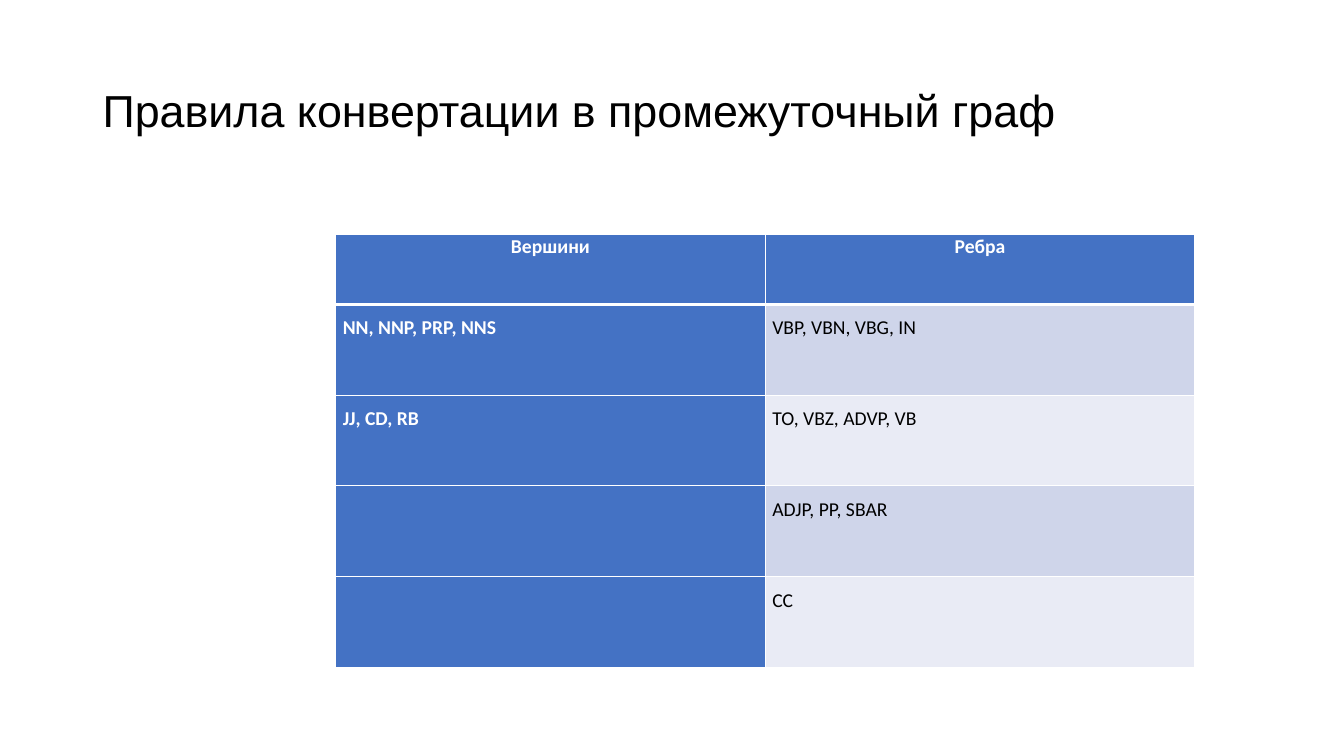
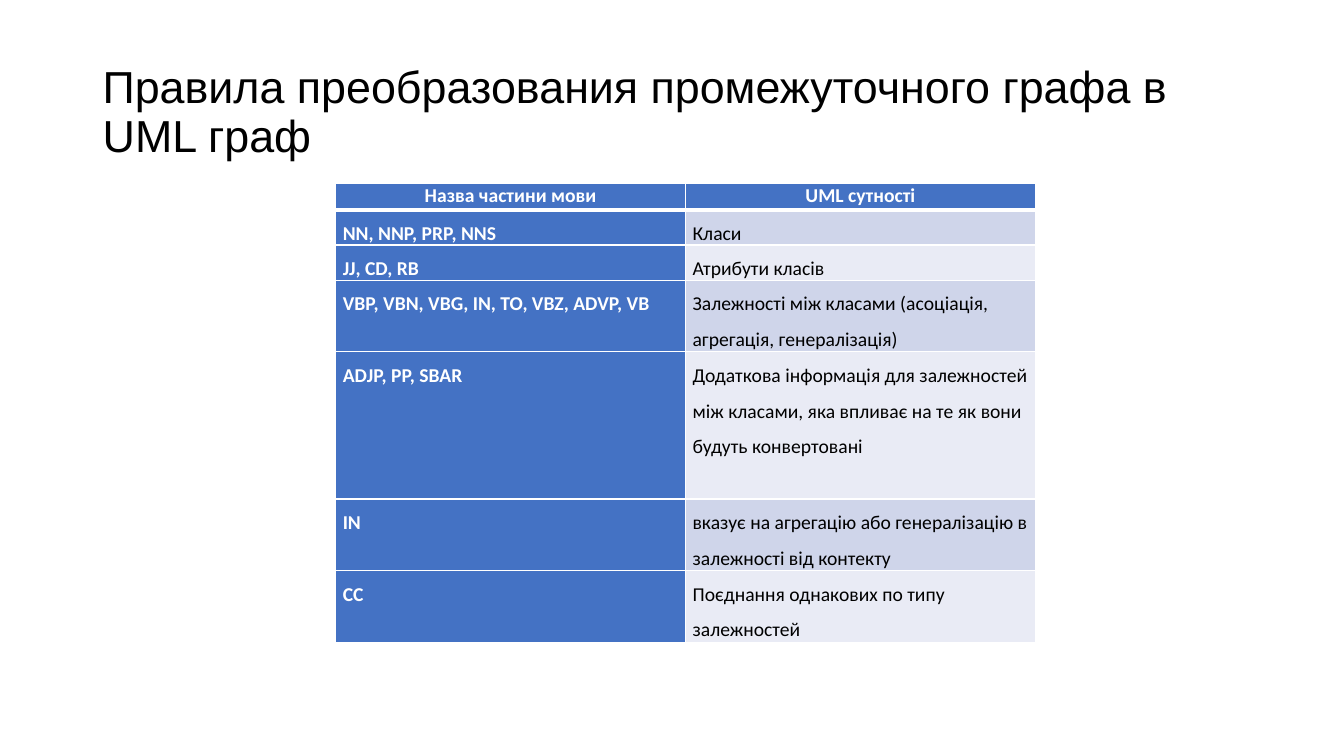
from lxml import etree
from pptx import Presentation
from pptx.dml.color import RGBColor
from pptx.enum.text import MSO_ANCHOR, PP_ALIGN
from pptx.oxml.ns import qn
from pptx.util import Inches, Pt

MIDDLE = MSO_ANCHOR.MIDDLE
LEFT, CENTER = PP_ALIGN.LEFT, PP_ALIGN.CENTER

BLACK = RGBColor(0x00, 0x00, 0x00)
WHITE = RGBColor(0xFF, 0xFF, 0xFF)
BLUE = RGBColor(0x44, 0x72, 0xC4)
BANDS = (RGBColor(0xE9, 0xEB, 0xF5), RGBColor(0xCF, 0xD5, 0xEA))

TITLE_FONT, TITLE_SIZE = "Arial", Pt(32)
TABLE_FONT, TABLE_SIZE = "Calibri", Pt(14)
TABLE_LEFT = 3.33
THIN, THICK = Pt(1), Pt(3)

NODE_EDGE_ROWS = [
    ("Вершини", "Ребра"),
    ("NN, NNP, PRP, NNS", "VBP, VBN, VBG, IN"),
    ("JJ, CD, RB", "TO, VBZ, ADVP, VB"),
    ("", "ADJP, PP, SBAR"),
    ("", "СС"),
]
UML_ROWS = [
    ("Назва частини мови", "UML сутності"),
    ("NN, NNP, PRP, NNS", "Класи"),
    ("JJ, CD, RB", "Атрибути класів"),
    ("VBP, VBN, VBG, IN, TO, VBZ, ADVP, VB",
     "Залежності між класами (асоціація, агрегація, генералізація)"),
    ("ADJP, PP, SBAR",
     "Додаткова інформація для залежностей між класами, "
     "яка впливає на те як вони будуть конвертовані"),
    ("IN", "вказує на агрегацію або генералізацію в залежності від контекту"),
    ("СС", "Поєднання однакових по типу залежностей"),
]


def set_font(p, name, size, color, bold=False):
    for r in p.runs:
        r.font.name = name
        r.font.size = size
        r.font.bold = bold
        r.font.color.rgb = color


def add_title(s, text):
    sp = s.shapes.add_textbox(Inches(0.92), Inches(0.4), Inches(11.5), Inches(1.45))
    tf = sp.text_frame
    tf.word_wrap = True
    tf.vertical_anchor = MIDDLE
    tf.text = text
    p = tf.paragraphs[0]
    p.line_spacing = 0.9
    set_font(p, TITLE_FONT, TITLE_SIZE, BLACK)


def set_borders(cell, top, bottom):
    tc_pr = cell._tc.get_or_add_tcPr()
    widths = {"a:lnL": THIN, "a:lnR": THIN, "a:lnT": top, "a:lnB": bottom}
    for i, (tag, width) in enumerate(widths.items()):
        ln = etree.Element(qn(tag), w=str(int(width)))
        fill = etree.SubElement(ln, qn("a:solidFill"))
        etree.SubElement(fill, qn("a:srgbClr"), val=str(WHITE))
        tc_pr.insert(i, ln)


def format_cell(cell, text, row, col):
    header = row == 0
    accent = header or col == 0
    cell.margin_left = cell.margin_right = Inches(0.07)
    cell.margin_top = cell.margin_bottom = 0
    cell.fill.solid()
    cell.fill.fore_color.rgb = BLUE if accent else BANDS[row % 2]
    set_borders(cell, THICK if row == 1 else THIN, THICK if header else THIN)
    if text:
        cell.text_frame.text = text
        p = cell.text_frame.paragraphs[0]
        p.alignment = CENTER if header else LEFT
        p.line_spacing = 1.0 if header else 1.5
        set_font(p, TABLE_FONT, TABLE_SIZE, WHITE if accent else BLACK, accent)


def add_rules_table(s, rows, top, col_width, heights):
    cols = len(rows[0])
    frame = s.shapes.add_table(len(rows), cols, Inches(TABLE_LEFT), Inches(top),
                               Inches(col_width * cols), Inches(sum(heights)))
    table = frame.table
    for column in table.columns:
        column.width = Inches(col_width)
    for i, (texts, height) in enumerate(zip(rows, heights)):
        table.rows[i].height = Inches(height)
        for j, text in enumerate(texts):
            format_cell(table.cell(i, j), text, i, j)


def add_rules_slide(prs, title, rows, top, col_width, heights):
    s = prs.slides.add_slide(prs.slide_layouts[6])
    add_title(s, title)
    add_rules_table(s, rows, top, col_width, heights)


def main():
    prs = Presentation()
    prs.slide_width, prs.slide_height = Inches(13.33), Inches(7.5)
    add_rules_slide(prs, "Правила конвертации в промежуточный граф",
                    NODE_EDGE_ROWS, 2.33, 4.26, [0.69] + [0.9] * 4)
    add_rules_slide(prs, "Правила преобразования промежуточного графа в UML граф",
                    UML_ROWS, 1.82, 3.47, [0.26, 0.34, 0.34, 0.71, 1.46, 0.71, 0.71])
    prs.save("out.pptx")


if __name__ == "__main__":
    main()
